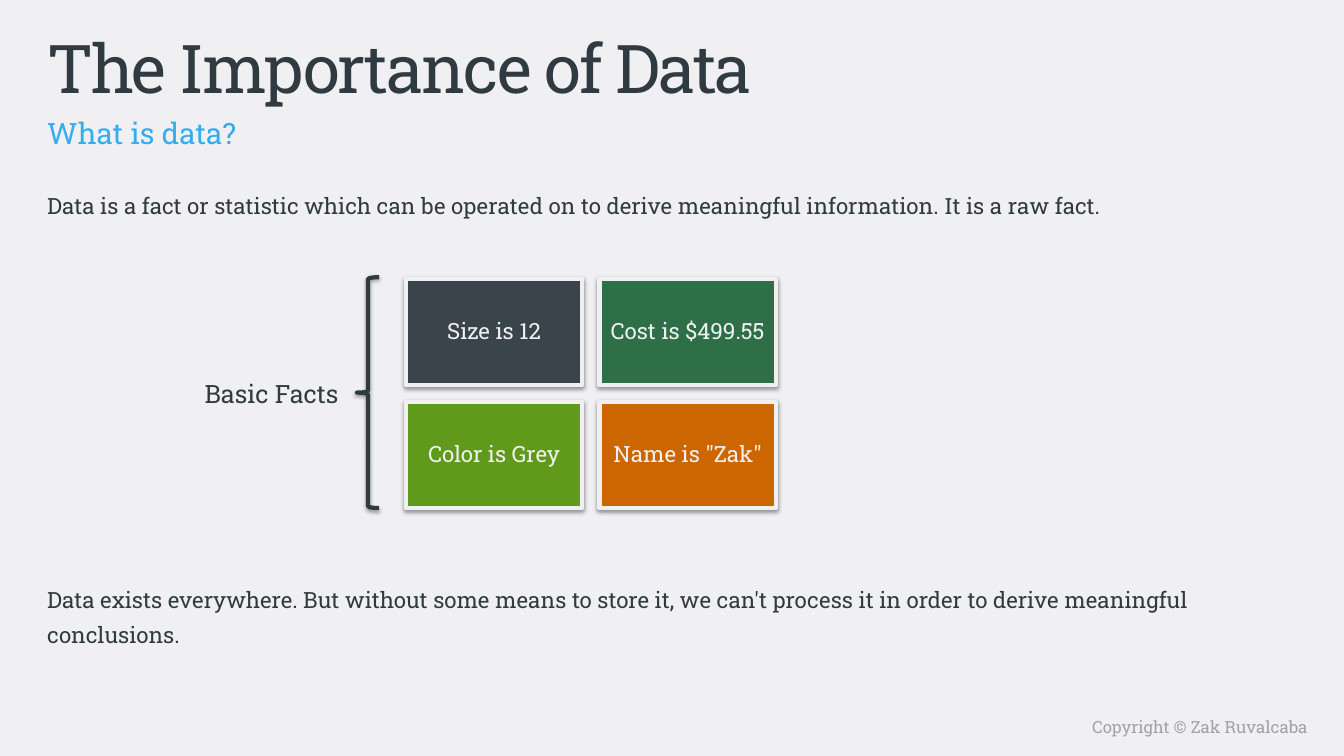
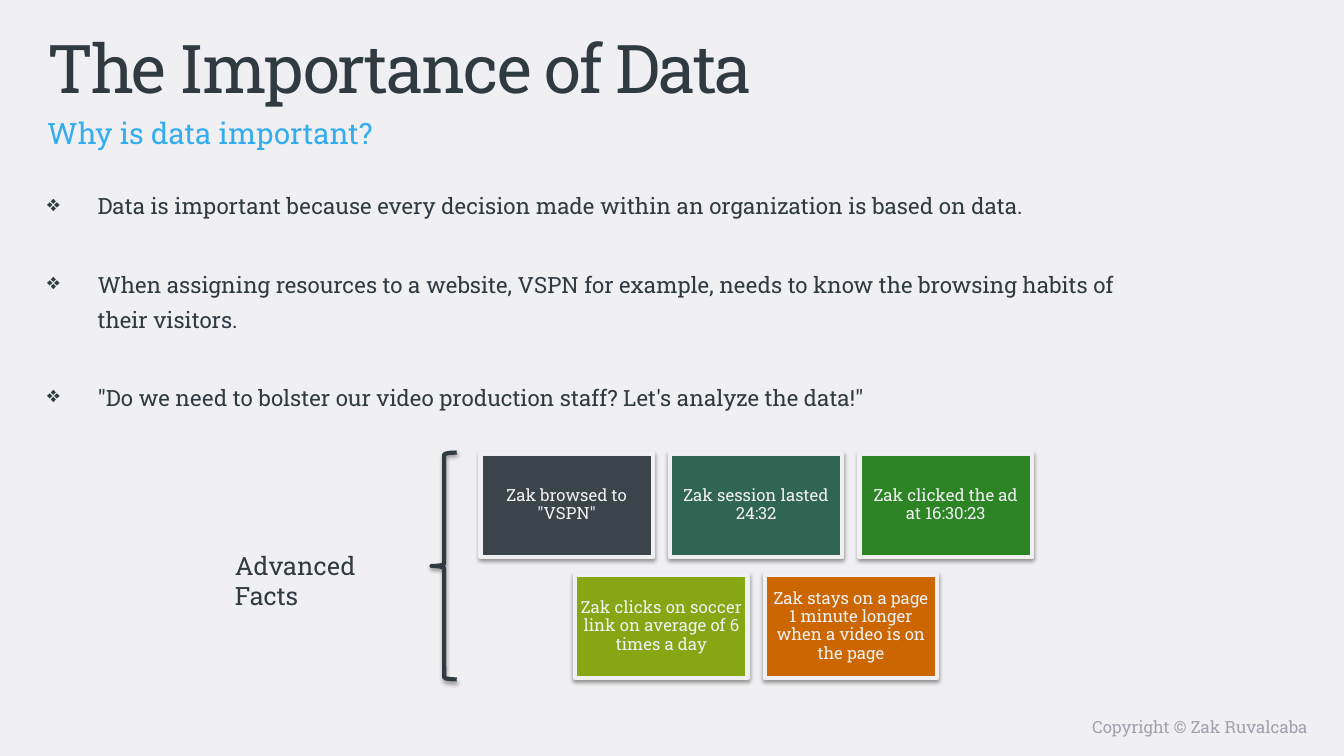
"""Build two slides on the importance of data."""
from lxml import etree
from pptx import Presentation
from pptx.dml.color import RGBColor
from pptx.enum.shapes import MSO_SHAPE
from pptx.enum.text import MSO_ANCHOR, PP_ALIGN
from pptx.oxml import parse_xml
from pptx.oxml.ns import nsdecls, qn
from pptx.util import Inches, Pt

COLORS = {
    "paper": "F0F0F2", "ink": "303B41", "accent": "34ADEF", "footer": "A1A1AD",
    "slate": "3A454B", "forest": "2E6F48", "leaf": "609A1A", "orange": "CC6600",
    "teal": "316553", "green": "2C8425", "olive": "87A614",
}
FONT = "Roboto Slab"
SHADOW = (
    f'<a:effectLst {nsdecls("a")}>'
    '<a:outerShdw blurRad="39370" dist="20320" dir="5400000" rotWithShape="0">'
    '<a:srgbClr val="000000"><a:alpha val="38000"/></a:srgbClr>'
    '</a:outerShdw></a:effectLst>'
)

SLIDES = [
    {
        "subtitle": "What is data?",
        "body": [
            "Data is a fact or statistic which can be operated on to derive "
            "meaningful information. It is a raw fact.",
            "Data exists everywhere. But without some means to store it, we can't "
            "process it in order to derive meaningful conclusions.",
        ],
        "body_width": 12.58, "body_gap": 256, "bullet": None,
        "rows": [
            [("Size is 12", "slate"), ("Cost is $499.55", "forest")],
            [("Color is Grey", "leaf"), ('Name is "Zak"', "orange")],
        ],
        "center": 5.86, "top": 2.77, "card": (1.75, 1.05), "gap": 0.17,
        "card_size": 16, "card_inset": 0.07,
        "brace": (3.54, 2.75, 0.22, 2.29),
        "label": "Basic Facts", "label_box": (1.93, 3.7, 1.61, 0.4),
    },
    {
        "subtitle": "Why is data important?",
        "body": [
            "Data is important because every decision made within an organization "
            "is based on data.",
            "When assigning resources to a website, VSPN for example, needs to know "
            "the browsing habits of their visitors.",
            '"Do we need to bolster our video production staff? '
            'Let\'s analyze the data!"',
        ],
        "body_width": 10.99, "body_gap": 31, "bullet": "\u2756",
        "rows": [
            [('Zak browsed to "VSPN"', "slate"),
             ("Zak session lasted 24:32", "teal"),
             ("Zak clicked the ad at 16:30:23", "green")],
            [("Zak clicks on soccer link on average of 6 times a day", "olive"),
             ("Zak stays on a page 1 minute longer when a video is on the page",
              "orange")],
        ],
        "center": 7.5, "top": 4.5, "card": (1.71, 1.03), "gap": 0.17,
        "card_size": 12, "card_inset": 0.05,
        "brace": (4.28, 4.49, 0.25, 2.25),
        "label": "Advanced Facts", "label_box": (2.23, 5.41, 2.01, 0.4),
    },
]


def write(paragraph, text, size, color):
    run = paragraph.add_run()
    run.text = text
    run.font.name = FONT
    run.font.size = Pt(size)
    run.font.color.rgb = RGBColor.from_string(COLORS[color])
    return run


def text_box(slide, box):
    frame = slide.shapes.add_textbox(*map(Inches, box)).text_frame
    frame.word_wrap = True
    return frame


prs = Presentation()
prs.slide_width, prs.slide_height = Inches(13.33), Inches(7.5)

for content in SLIDES:
    slide = prs.slides.add_slide(prs.slide_layouts[6])
    slide.background.fill.solid()
    slide.background.fill.fore_color.rgb = RGBColor.from_string(COLORS["paper"])

    footer = text_box(slide, (6.67, 7.06, 6.4, 0.31)).paragraphs[0]
    footer.alignment = PP_ALIGN.RIGHT
    write(footer, "Copyright \u00a9 Zak Ruvalcaba", 12, "footer")

    title = text_box(slide, (0.37, 0.21, 11.76, 0.79)).paragraphs[0]
    heading = write(title, "The Importance of Data", 48, "ink")
    heading.font._element.set("spc", "-150")

    subtitle = text_box(slide, (0.37, 0.99, 11.76, 0.39)).paragraphs[0]
    subtitle.line_spacing = 1.3
    subtitle.space_before = Pt(4.2)
    write(subtitle, content["subtitle"], 21, "accent")

    body = text_box(slide, (0.37, 1.78, content["body_width"], 5.18))
    for index, sentence in enumerate(content["body"]):
        point = body.add_paragraph() if index else body.paragraphs[0]
        point.line_spacing = 1.3
        point.space_before = Pt(content["body_gap"] if index else 3.2)
        write(point, sentence, 16, "ink")
        if content["bullet"]:
            props = point._p.get_or_add_pPr()
            props.set("marL", str(Inches(0.5)))
            props.set("indent", str(-Inches(0.5)))
            etree.SubElement(props, qn("a:buChar"), char=content["bullet"])

    width, height = content["card"]
    gap = content["gap"]
    for row_index, row in enumerate(content["rows"]):
        row_left = content["center"] - (len(row) * (width + gap) - gap) / 2
        row_top = content["top"] + row_index * (height + gap)
        for column, (fact, color) in enumerate(row):
            card = slide.shapes.add_shape(
                MSO_SHAPE.RECTANGLE, Inches(row_left + column * (width + gap)),
                Inches(row_top), Inches(width), Inches(height))
            card.fill.solid()
            card.fill.fore_color.rgb = RGBColor.from_string(COLORS[color])
            card.line.color.rgb = RGBColor.from_string(COLORS["paper"])
            card.line.width = Pt(3)
            card._element.spPr.append(parse_xml(SHADOW))
            frame = card.text_frame
            frame.word_wrap = True
            frame.vertical_anchor = MSO_ANCHOR.MIDDLE
            frame.margin_left = frame.margin_right = Inches(content["card_inset"])
            frame.margin_top = frame.margin_bottom = Inches(content["card_inset"])
            caption = frame.paragraphs[0]
            caption.alignment = PP_ALIGN.CENTER
            caption.line_spacing = 0.9
            write(caption, fact, content["card_size"], "paper")

    brace = slide.shapes.add_shape(
        MSO_SHAPE.LEFT_BRACE, *map(Inches, content["brace"]))
    brace.fill.background()
    brace.line.color.rgb = RGBColor.from_string(COLORS["ink"])
    brace.line.width = Pt(3)
    brace._element.spPr.append(parse_xml(SHADOW))

    label = text_box(slide, content["label_box"]).paragraphs[0]
    write(label, content["label"], 18, "ink")

prs.save("out.pptx")
